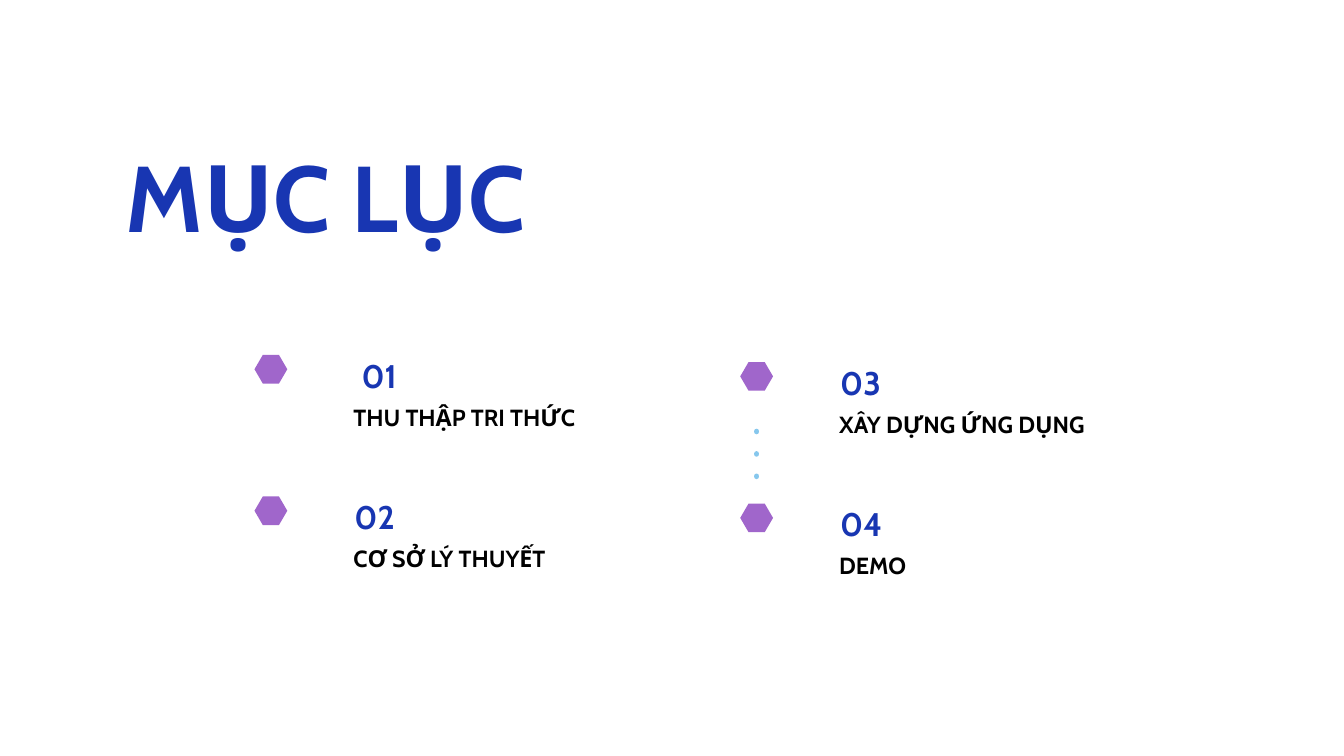
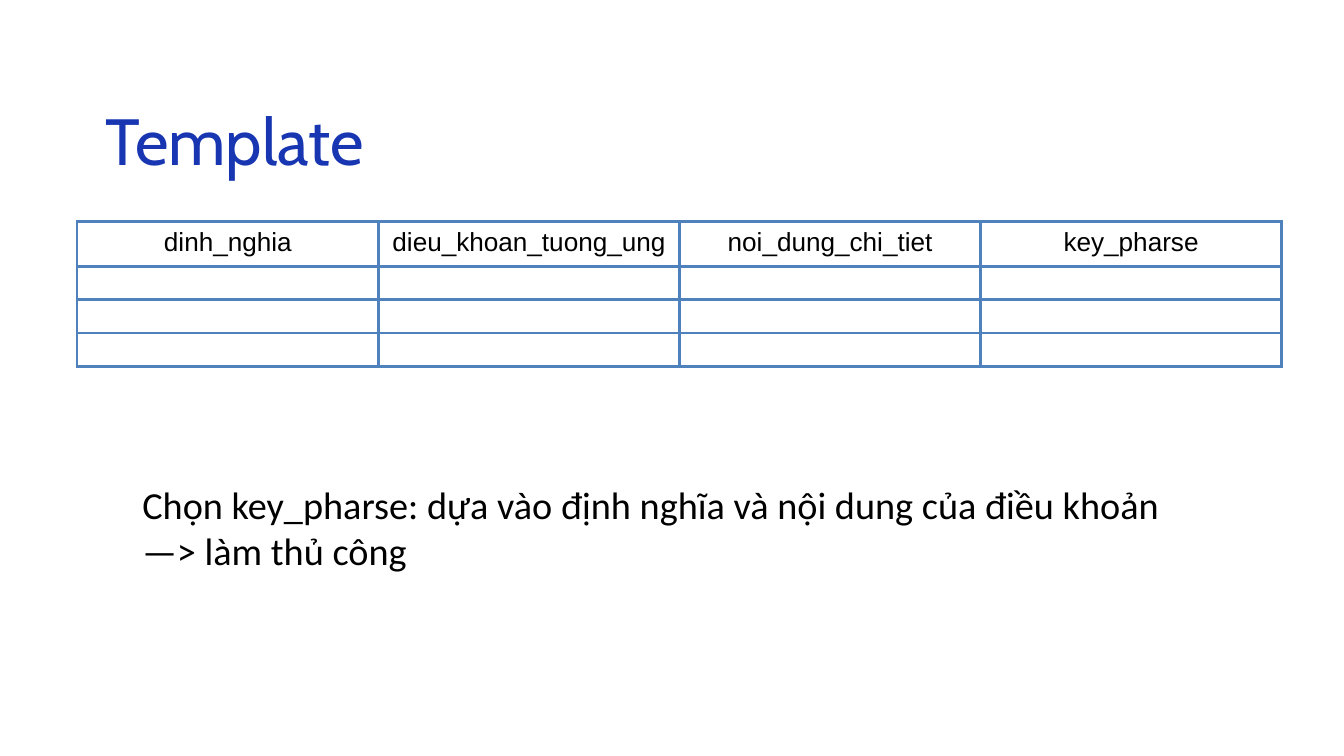
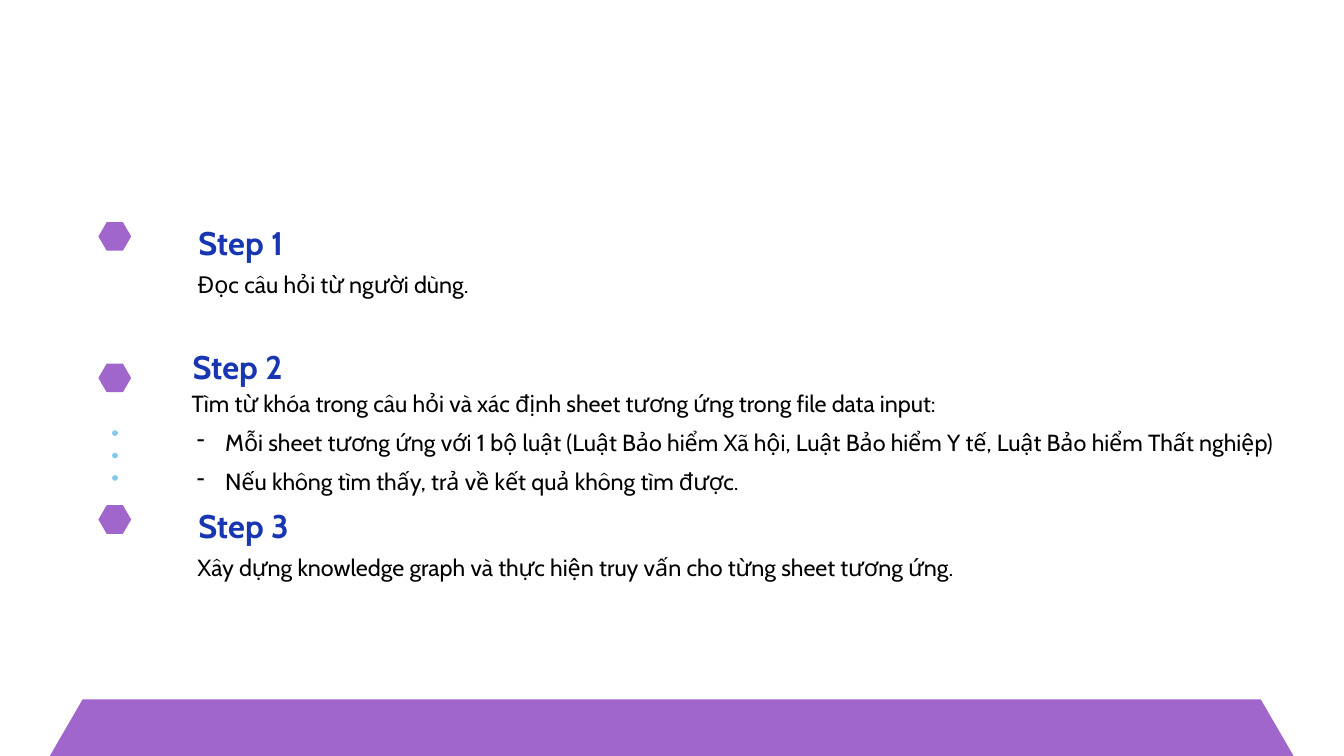
from lxml.etree import SubElement
from pptx import Presentation
from pptx.dml.color import RGBColor
from pptx.enum.shapes import MSO_CONNECTOR, MSO_SHAPE
from pptx.enum.text import MSO_ANCHOR, MSO_AUTO_SIZE, PP_ALIGN
from pptx.oxml.ns import qn
from pptx.util import Cm, Pt

BLUE, PURPLE, SKY = "1836B2", "A066CB", "86C7ED"
BLACK, TABLE_LINE = "000000", "4F81BD"
HEADING_FONT = "Cabin"

MARKER_W, MARKER_H = 1.24, 1.08
MARKER_DX, MARKER_DY = -3.74, 0.27  # marker relative to its entry
ROW_STEP = 5.35
TITLE_ONLY, BLANK = 5, 6


def rgb(value):
    return RGBColor.from_string(value)


def add_run(paragraph, text, size, color=BLACK, bold=False, font=HEADING_FONT):
    run = paragraph.add_run()
    run.text = text
    run.font.name, run.font.size, run.font.bold = font, Pt(size), bold
    run.font.color.rgb = rgb(color)


def prepare_frame(frame, inset=0, grow=True):
    frame.word_wrap = True
    frame.vertical_anchor = MSO_ANCHOR.TOP
    frame.auto_size = MSO_AUTO_SIZE.SHAPE_TO_FIT_TEXT if grow else MSO_AUTO_SIZE.NONE
    frame.margin_left = frame.margin_right = Cm(inset)
    frame.margin_top = frame.margin_bottom = Cm(inset)
    return frame


def add_text_frame(slide, left, top, width, height, **options):
    box = slide.shapes.add_textbox(Cm(left), Cm(top), Cm(width), Cm(height))
    return prepare_frame(box.text_frame, **options)


def set_title(slide, text, box, size, spacing, bold=False):
    title = slide.shapes.title
    title.left, title.top, title.width, title.height = map(Cm, box)
    paragraph = prepare_frame(title.text_frame).paragraphs[0]
    paragraph.alignment = PP_ALIGN.LEFT
    paragraph.line_spacing = spacing
    add_run(paragraph, text, size, BLUE, bold)


def add_hexagon(slide, left, top, width, height):
    hexagon = slide.shapes.add_shape(
        MSO_SHAPE.HEXAGON, Cm(left), Cm(top), Cm(width), Cm(height))
    hexagon.adjustments[0] = 0.29
    hexagon.shadow.inherit = False
    hexagon.fill.solid()
    hexagon.fill.fore_color.rgb = rgb(PURPLE)
    hexagon.line.fill.background()


def add_marker(slide, left, top):
    """Place the hexagon that belongs to the entry at left, top."""
    add_hexagon(slide, left + MARKER_DX, top + MARKER_DY, MARKER_W, MARKER_H)


def add_dots(slide, left, top):
    """Dot the gap below the marker of the entry at left, top."""
    x = Cm(left + MARKER_DX + MARKER_W / 2)
    y = top + MARKER_DY
    dots = slide.shapes.add_connector(
        MSO_CONNECTOR.STRAIGHT, x, Cm(y + 4.32), x, Cm(y + 1.93))
    dots.line.width = Pt(6)
    dots.line.color.rgb = rgb(SKY)
    properties = dots._element.spPr
    line = properties.find(qn("a:ln"))
    line.set("cap", "rnd")
    SubElement(line, qn("a:prstDash"), val="dot")
    SubElement(properties, qn("a:effectLst"))


def indent(paragraph, left, first=0):
    properties = paragraph._p.get_or_add_pPr()
    properties.set("marL", str(Cm(left)))
    properties.set("indent", str(Cm(first)))
    return properties


def add_dash_bullet(paragraph):
    properties = indent(paragraph, 1.27, -1.07)
    color = SubElement(properties, qn("a:buClr"))
    SubElement(color, qn("a:srgbClr"), val=BLACK)
    SubElement(properties, qn("a:buChar"), char="-")


def add_entry(slide, left, top, heading, text, width, bold=False,
              points=(), heading_indent=0):
    """Write a heading with its text and, below it, dashed points."""
    title = add_text_frame(slide, left + 0.04, top, width, 1.5).paragraphs[0]
    title.line_spacing = 1.2
    if heading_indent:
        indent(title, heading_indent)
    add_run(title, heading, 35, BLUE, True)

    body = add_text_frame(slide, left, top + 1.66, width, 3.84 if points else 1.07)
    lead = body.paragraphs[0]
    lead.line_spacing = 1.2 if points else 1.4
    add_run(lead, text, 25, bold=bold)
    for point in points:
        paragraph = body.add_paragraph()
        add_dash_bullet(paragraph)
        paragraph.line_spacing = 1.4
        add_run(paragraph, point, 25)


def add_field_table(slide, left, top, fields, empty_rows, column_width, row_height):
    rows = empty_rows + 1
    table = slide.shapes.add_table(
        rows, len(fields), Cm(left), Cm(top),
        Cm(column_width * len(fields)), Cm(row_height * rows)).table
    table.first_row = table.horz_banding = False
    for cell in table.iter_cells():
        cell.margin_left = cell.margin_right = Cm(0.25)
        cell.margin_top = cell.margin_bottom = Cm(0.25)
        properties = cell._tc.get_or_add_tcPr()
        for side in ("lnL", "lnR", "lnT", "lnB"):
            border = SubElement(properties, qn(f"a:{side}"), w=str(Pt(3)))
            fill = SubElement(border, qn("a:solidFill"))
            SubElement(fill, qn("a:srgbClr"), val=TABLE_LINE)
        cell.fill.background()
    for column, field in enumerate(fields):
        paragraph = table.cell(0, column).text_frame.paragraphs[0]
        paragraph.alignment = PP_ALIGN.CENTER
        add_run(paragraph, field, 28, font="Arial")


def build_contents(slide):
    set_title(slide, "MỤC LỤC", (4.75, 4.83, 30.91, 4.27), 100, 1.1, bold=True)
    columns = [
        (13.36, 13.15, ["THU THẬP TRI THỨC", "CƠ SỞ LÝ THUYẾT"]),
        (31.72, 13.42, ["XÂY DỰNG ỨNG DỤNG", "DEMO"]),
    ]
    number = 0
    for left, top, chapters in columns:
        for row, chapter in enumerate(chapters):
            number += 1
            y = top + row * ROW_STEP
            add_marker(slide, left, y)
            add_entry(slide, left, y, f"{number:02}", chapter, 9.47, bold=True,
                      heading_indent=0.27 if number == 1 else 0)
    add_dots(slide, left, top)


def build_template(slide):
    set_title(slide, "Template", (3.99, 2.59, 27.71, 3), 70, 1.4)
    fields = ["dinh_nghia", "dieu_khoan_tuong_ung", "noi_dung_chi_tiet", "key_pharse"]
    add_field_table(slide, 2.92, 8.38, fields, 3, 11.38, 1.07)
    note = add_text_frame(slide, 5.13, 17.96, 40.51, 3.66, inset=0.25, grow=False)
    add_run(note.paragraphs[0],
            "Chọn key_pharse: dựa vào định nghĩa và nội dung của điều khoản "
            "—> làm thủ công", 41, font="Calibri")


def build_steps(slide):
    left, top = 7.46, 8.13
    for row in range(3):
        add_marker(slide, left, top + row * ROW_STEP)
    add_dots(slide, left, top + ROW_STEP)
    add_entry(slide, left, top, "Step 1", "Đọc câu hỏi từ người dùng.", 36.04)
    add_entry(
        slide, left - 0.22, top + ROW_STEP - 0.65, "Step 2",
        "Tìm từ khóa trong câu hỏi và xác định sheet tương ứng trong file data input:",
        42.52,
        points=[
            "Mỗi sheet tương ứng với 1 bộ luật (Luật Bảo hiểm Xã hội, "
            "Luật Bảo hiểm Y tế, Luật Bảo hiểm Thất nghiệp)",
            "Nếu không tìm thấy, trả về kết quả không tìm được.",
        ])
    add_entry(
        slide, left, top + 2 * ROW_STEP, "Step 3",
        "Xây dựng knowledge graph và thực hiện truy vấn cho từng sheet tương ứng.",
        36.55)
    add_hexagon(slide, 1.88, 26.44, 47.02, 4.29)


def main():
    deck = Presentation()
    deck.slide_width, deck.slide_height = Cm(50.8), Cm(28.58)
    pages = [(TITLE_ONLY, build_contents), (TITLE_ONLY, build_template),
             (BLANK, build_steps)]
    for layout, build in pages:
        build(deck.slides.add_slide(deck.slide_layouts[layout]))
    deck.save("out.pptx")


if __name__ == "__main__":
    main()
